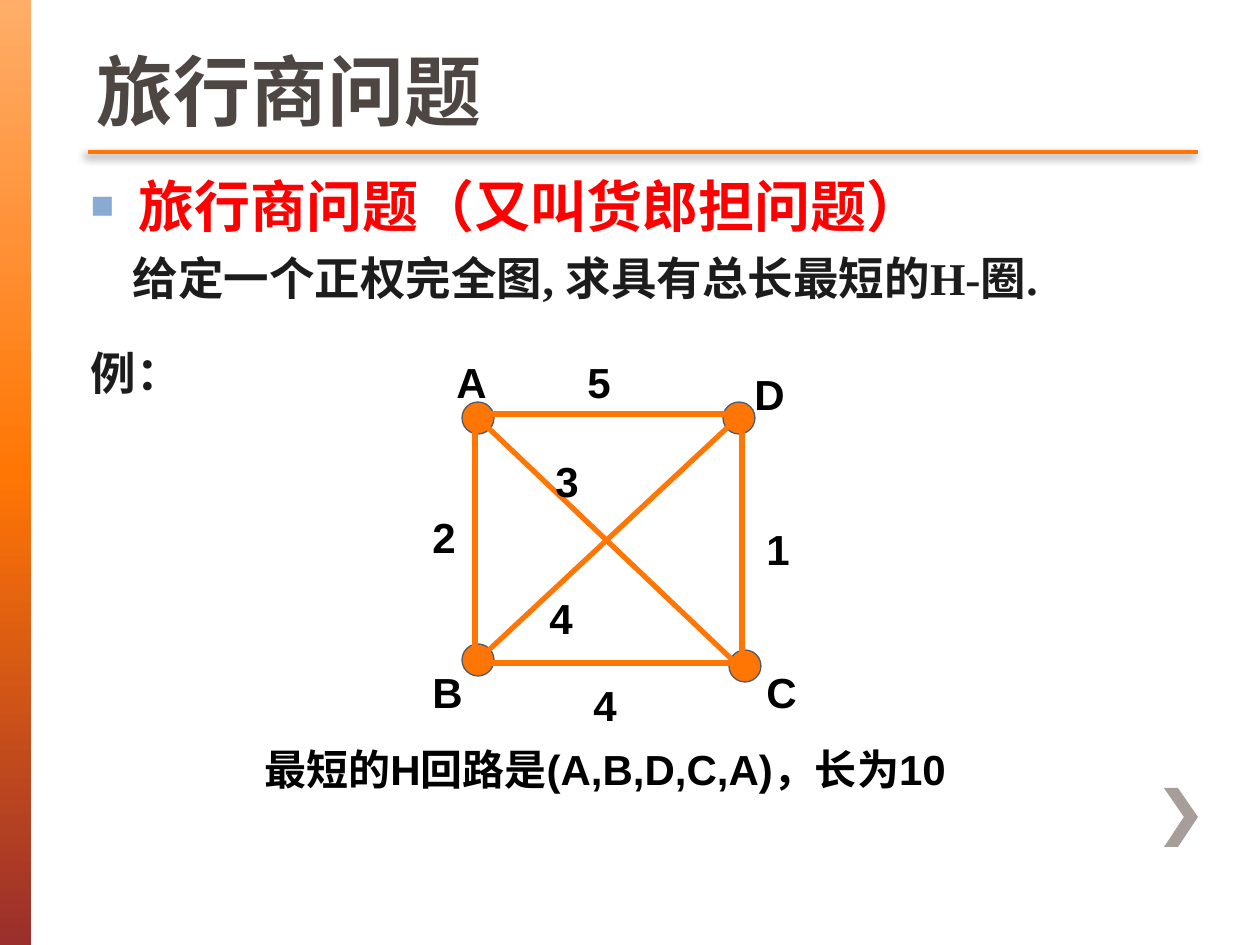
"""Build a slide on the travelling salesman problem with a weighted complete graph."""
import copy

import pptx
import pptx.dml.color
import pptx.enum.shapes
import pptx.enum.text
import pptx.oxml
import pptx.oxml.ns
import pptx.util

SCALE = 914400 // 126
ORANGE = "FF7605"
HEADING = "旅行商问题"
POINTS = [
    dict(text="旅行商问题（又叫货郎担问题）", size=32, color="FF0000", before=0, after=8, left=48, first=-48),
    dict(text="给定一个正权完全图, 求具有总长最短的H-圈.", size=26, color="1C1C1C", before=5, after=0, left=42, first=0),
    dict(text="例：", size=26, color="1C1C1C", before=29, after=0, left=0, first=0),
]
CONCLUSION = "最短的H回路是(A,B,D,C,A)，长为10"
BAR_STOPS = [(0, "FFAD69"), (0.5, ORANGE), (1, "9A2F2C")]
CHEVRON = [(1178, 788), (1164, 788), (1184, 817), (1164, 847), (1178, 847), (1198, 817)]
NODES = [("A", 462, 402, 444, 350), ("D", 723, 402, 742, 362),
         ("C", 729, 650, 754, 660), ("B", 462, 644, 420, 660)]
EDGES = [
    ("2", (475, 421), (475, 663), (420, 505)),
    ("1", (742, 414), (742, 656), (754, 517)),
    ("3", (481, 421), (742, 669), (543, 449)),
    ("4", (742, 414), (475, 663), (537, 586)),
    ("5", (742, 414), (475, 414), (575, 350)),
    ("4", (742, 663), (475, 663), (581, 673)),
]
NODE_SIZE = 32

BULLET = ('<a:buClr {0}><a:srgbClr val="89AAD3"/></a:buClr>', '<a:buSzPct {0} val="70000"/>',
          '<a:buFont {0} typeface="Arial"/>', '<a:buChar {0} char="■"/>')
NO_BULLET = ("<a:buNone {0}/>",)
NO_EFFECT = "<a:effectLst {0}/>"
RULE_SHADOW = ('<a:effectLst {0}><a:outerShdw blurRad="63500" dist="38100" dir="8100000">'
               '<a:srgbClr val="000000"><a:alpha val="45000"/></a:srgbClr></a:outerShdw></a:effectLst>')


def px(*lengths):
    return [pptx.util.Emu(length * SCALE) for length in lengths]


def rgb(value):
    return pptx.dml.color.RGBColor.from_string(value)


def add_xml(parent, markup):
    parent.append(pptx.oxml.parse_xml(markup.format(pptx.oxml.ns.nsdecls("a"))))


def style(paragraph, size, color, font="Arial"):
    for run in paragraph.runs:
        run.font.size = pptx.util.Pt(size)
        run.font.name = font
        run.font.bold = True
        run.font.color.rgb = rgb(color)


def place(holder, left, top, width, height, anchor):
    holder.left, holder.top, holder.width, holder.height = px(left, top, width, height)
    holder.text_frame.auto_size = pptx.enum.text.MSO_AUTO_SIZE.NONE
    holder.text_frame.vertical_anchor = anchor


def add_label(slide, text, left, top, width=60, height=64):
    label = slide.shapes.add_textbox(*px(left, top, width, height)).text_frame
    label.word_wrap = True
    label.text = text
    style(label.paragraphs[0], 24, "000000")


def add_line(slide, start, end, weight, effect=NO_EFFECT):
    line = slide.shapes.add_connector(pptx.enum.shapes.MSO_CONNECTOR.STRAIGHT, *px(*start, *end))
    line.line.color.rgb = rgb(ORANGE)
    line.line.width = pptx.util.Pt(weight)
    add_xml(line._element.spPr, effect)


def add_decoration(slide):
    bar = slide.shapes.add_shape(pptx.enum.shapes.MSO_SHAPE.RECTANGLE, *px(0, 0, 31, 945))
    bar.shadow.inherit = False
    bar.line.fill.background()
    bar.fill.gradient()
    bar.fill.gradient_angle = 270
    stop_list = bar._element.spPr.find(".//" + pptx.oxml.ns.qn("a:gsLst"))
    stop_list.append(copy.deepcopy(stop_list[0]))
    for stop, (position, color) in zip(bar.fill.gradient_stops, BAR_STOPS):
        stop.position = position
        stop.color.rgb = rgb(color)

    outline = slide.shapes.build_freeform(*CHEVRON[0], scale=SCALE)
    outline.add_line_segments(CHEVRON[1:], close=True)
    chevron = outline.convert_to_shape()
    chevron.shadow.inherit = False
    chevron.fill.solid()
    chevron.fill.fore_color.rgb = rgb("A79D99")
    chevron.line.fill.background()
    add_line(slide, (88, 152), (1198, 152), 2.5, RULE_SHADOW)


def add_texts(slide):
    title, body = slide.placeholders
    place(title, 84, 0, 1110, 142, pptx.enum.text.MSO_ANCHOR.BOTTOM)
    title.text_frame.text = HEADING
    title.text_frame.paragraphs[0].alignment = pptx.enum.text.PP_ALIGN.LEFT
    style(title.text_frame.paragraphs[0], 44, "4D4643")

    place(body, 78, 178, 1071, 586, pptx.enum.text.MSO_ANCHOR.TOP)
    body.text_frame.text = "\n".join(point["text"] for point in POINTS)
    for paragraph, point in zip(body.text_frame.paragraphs, POINTS):
        properties = paragraph._p.get_or_add_pPr()
        properties.set("marL", str(point["left"] * SCALE))
        properties.set("indent", str(point["first"] * SCALE))
        for markup in BULLET if point["first"] else NO_BULLET:
            add_xml(properties, markup)
        paragraph.line_spacing = 0.8
        paragraph.space_before = pptx.util.Pt(point["before"])
        paragraph.space_after = pptx.util.Pt(point["after"])
        style(paragraph, point["size"], point["color"], "Times New Roman")
    add_label(slide, CONCLUSION, 252, 737, 813, 63)


def add_graph(slide):
    for name, left, top, label_left, label_top in NODES:
        node = slide.shapes.add_shape(pptx.enum.shapes.MSO_SHAPE.OVAL, *px(left, top, NODE_SIZE, NODE_SIZE))
        node.shadow.inherit = False
        node.fill.solid()
        node.fill.fore_color.rgb = rgb(ORANGE)
        node.line.color.rgb = rgb("4D5B6B")
        node.line.width = pptx.util.Pt(0.75)
        add_label(slide, name, label_left, label_top)
    for weight, start, end, label_at in EDGES:
        add_line(slide, start, end, 3)
        add_label(slide, weight, *label_at)


def main():
    deck = pptx.Presentation()
    deck.slide_width, deck.slide_height = px(1260, 945)
    slide = deck.slides.add_slide(deck.slide_layouts[1])
    add_decoration(slide)
    add_texts(slide)
    add_graph(slide)
    deck.save("out.pptx")


if __name__ == "__main__":
    main()
